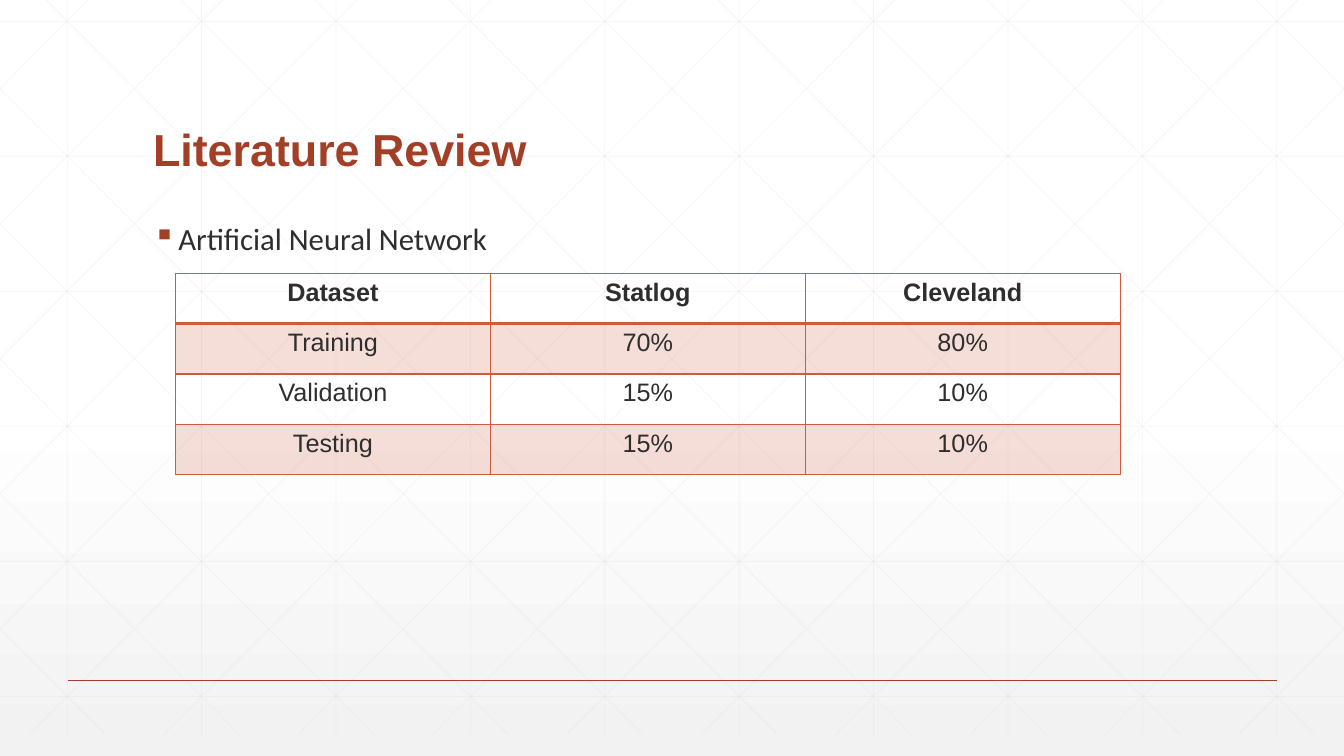
from copy import deepcopy

from lxml import etree
from pptx import Presentation
from pptx import util as u
from pptx.dml.color import RGBColor
from pptx.enum import shapes, text
from pptx.oxml.ns import qn

THEME = {
    "rust": "A43F27", "coral": "D15A3E", "ink": "2D2E2D", "lattice": "D9D9D9",
    "sky": [("FFFFFF", 0), ("FFFFFF", 0.53), ("F2F2F2", 1)],
    "title": {"name": "Arial", "size": u.Pt(32), "bold": True},
    "topic": {"name": "Calibri", "size": u.Pt(22), "bold": False},
    "header": {"name": "Arial", "size": u.Pt(18), "bold": True},
    "value": {"name": "Arial", "size": u.Pt(18), "bold": False},
}
WIDTH, HEIGHT = 13.33, 7.5


def draw_line(parent, start, end, colour, width, alpha=100):
    line = parent.shapes.add_connector(
        shapes.MSO_CONNECTOR.STRAIGHT, *(u.Inches(v) for v in (*start, *end)))
    line.line.color.rgb = RGBColor.from_string(THEME[colour])
    line.line.width = u.Pt(width)
    properties = line._element.spPr
    if alpha < 100:
        tint = next(properties.iter(qn("a:srgbClr")))
        etree.SubElement(tint, qn("a:alpha"), val=str(alpha * 1000))
    etree.SubElement(properties, qn("a:effectLst"))


def write(paragraph, words, style, colour, **layout):
    run = paragraph.add_run()
    run.text = words
    for key, value in THEME[style].items():
        setattr(run.font, key, value)
    run.font.color.rgb = RGBColor.from_string(THEME[colour])
    for key, value in layout.items():
        setattr(paragraph, key, value)


deck = Presentation()
deck.slide_width, deck.slide_height = u.Inches(WIDTH), u.Inches(HEIGHT)
slide = deck.slides.add_slide(deck.slide_layouts[6])

sky = slide.background.fill
sky.gradient()
sky.gradient_angle = 270
stops = next(slide._element.iter(qn("a:gsLst")))
stops.insert(1, deepcopy(stops[0]))
for stop, (colour, position) in zip(sky.gradient_stops, THEME["sky"]):
    stop.color.rgb = RGBColor.from_string(colour)
    stop.position = position

top, bottom, run_across = -0.21, 7.29, 7.46
column_gap, row_gap = WIDTH / 10, 1.34
lattice = [((column_gap * (i + 0.5), top), (column_gap * (i + 0.5), bottom))
           for i in range(10)]
lattice += [((0, 0.21 + row_gap * i), (WIDTH, 0.21 + row_gap * i)) for i in range(6)]
slope = (bottom - top) / run_across
for i in range(-5, 10):
    origin = 0.25 + column_gap * i
    left, right = max(origin, 0), min(origin + run_across, WIDTH)
    y_left, y_right = (top + (x - origin) * slope for x in (left, right))
    lattice.append(((left, y_left), (right, y_right)))
    lattice.append(((WIDTH - left, y_left), (WIDTH - right, y_right)))

backdrop = slide.shapes.add_group_shape()
for start, end in lattice:
    draw_line(backdrop, start, end, "lattice", 0.5, 25)
draw_line(slide, (0.67, 6.75), (12.67, 6.75), "rust", 1)

frames = []
for y, height, anchor in [(0.55, 1.25, text.MSO_ANCHOR.BOTTOM),
                          (2.17, 4.17, text.MSO_ANCHOR.TOP)]:
    box = slide.shapes.add_textbox(*(u.Inches(v) for v in (1.42, y, 10.5, height)))
    box.text_frame.word_wrap = True
    box.text_frame.vertical_anchor = anchor
    frames.append(box.text_frame)
heading, topic = (frame.paragraphs[0] for frame in frames)
write(heading, "Literature Review", "title", "rust", line_spacing=0.9)
write(topic, "Artificial Neural Network", "topic", "ink",
      line_spacing=0.9, space_before=u.Pt(18))
indent = topic._p.get_or_add_pPr()
indent.set("marL", str(u.Inches(0.25)))
indent.set("indent", str(-u.Inches(0.25)))
bullet_colour = etree.SubElement(indent, qn("a:buClr"))
etree.SubElement(bullet_colour, qn("a:srgbClr"), val=THEME["rust"])
etree.SubElement(indent, qn("a:buChar"), char="▪")

splits = [
    ("Dataset", "Statlog", "Cleveland"),
    ("Training", "70%", "80%"),
    ("Validation", "15%", "10%"),
    ("Testing", "15%", "10%"),
]
split_table = slide.shapes.add_table(
    4, 3, *(u.Inches(v) for v in (1.74, 2.71, 9.37, 2))).table
split_table.first_row = split_table.horz_banding = False
for r, row in enumerate(splits):
    for c, words in enumerate(row):
        cell = split_table.cell(r, c)
        write(cell.text_frame.paragraphs[0], words, "value" if r else "header", "ink",
              alignment=text.PP_ALIGN.CENTER)
        edges = cell._tc.get_or_add_tcPr()
        if r % 2:
            cell.fill.solid()
            cell.fill.fore_color.rgb = RGBColor.from_string(THEME["coral"])
            tint = next(edges.iter(qn("a:srgbClr")))
            etree.SubElement(tint, qn("a:alpha"), val="20000")
        else:
            cell.fill.background()
        for place, side in enumerate(("lnL", "lnR", "lnT", "lnB")):
            heavy = (r, side) in ((0, "lnB"), (1, "lnT"))
            edge = etree.Element(qn(f"a:{side}"), w=str(u.Pt(2 if heavy else 1)))
            ink = etree.SubElement(edge, qn("a:solidFill"))
            etree.SubElement(ink, qn("a:srgbClr"), val=THEME["coral"])
            edges.insert(place, edge)

deck.save("out.pptx")
